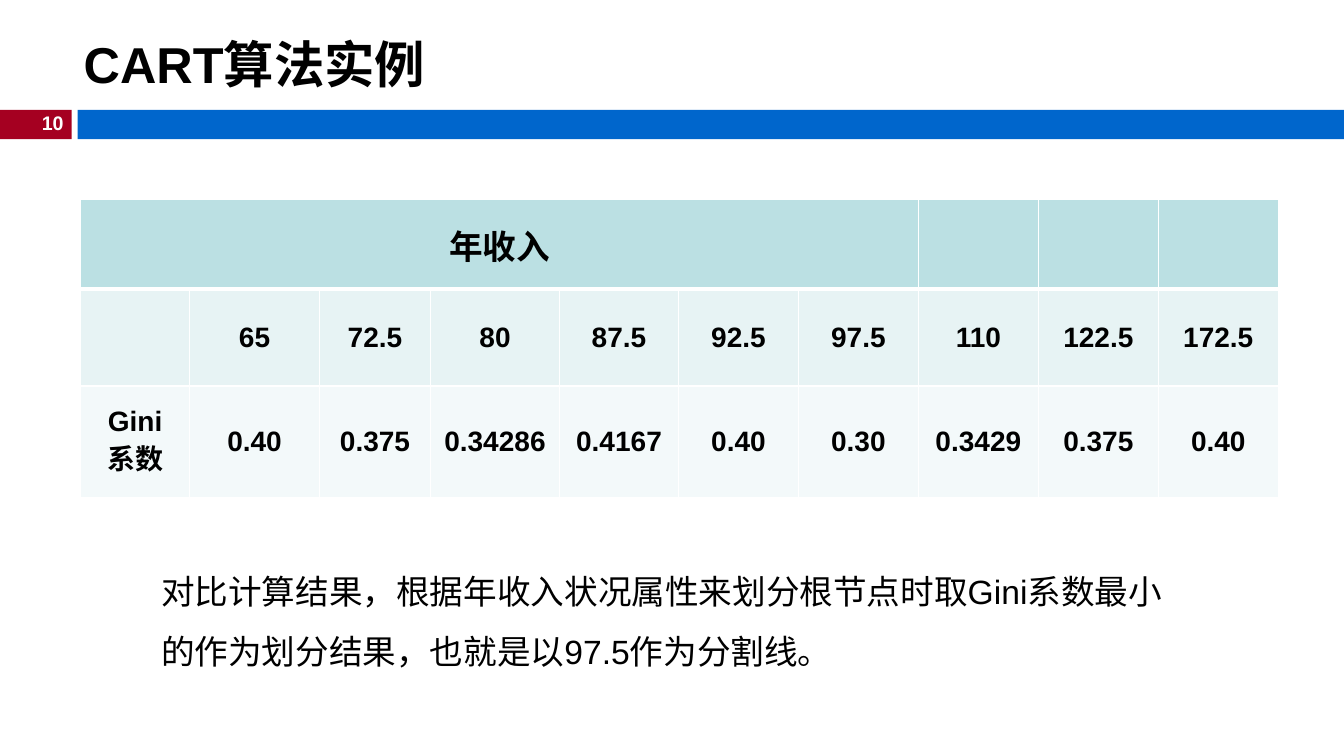
import lxml.etree
import pptx
import pptx.dml.color
import pptx.enum.shapes
import pptx.enum.text
import pptx.oxml.ns
import pptx.util

Inches, Pt = pptx.util.Inches, pptx.util.Pt
ALIGN = pptx.enum.text.PP_ALIGN
MIDDLE = pptx.enum.text.MSO_ANCHOR.MIDDLE

THEME = {
    "font": "Arial",
    "colors": {"text": "000000", "white": "FFFFFF", "red": "A50021", "blue": "0066CC"},
    "rows": ["BBE0E3", "E7F3F4", "F3F9FA"],
    "sizes": {"title": 36, "header": 24, "value": 20, "body": 24, "number": 14},
}
COLORS = THEME["colors"]


def write(frame, text, role, align, bold=True, color="text", spacing=None):
    frame.text = text
    for paragraph in frame.paragraphs:
        paragraph.alignment = align
        paragraph.line_spacing = spacing
        font_format = {"name": THEME["font"], "size": Pt(THEME["sizes"][role]), "bold": bold}
        for key, value in font_format.items():
            setattr(paragraph.font, key, value)
        paragraph.font.color.rgb = pptx.dml.color.RGBColor.from_string(COLORS[color])


def paint(fill, color):
    fill.solid()
    fill.fore_color.rgb = pptx.dml.color.RGBColor.from_string(color)


presentation = pptx.Presentation()
presentation.slide_width, presentation.slide_height = Inches(13.33), Inches(7.5)
slide = presentation.slides.add_slide(presentation.slide_layouts[5])

# Header band
for left, width, color in [(0, 0.71, "red"), (0.77, 12.56, "blue")]:
    band = slide.shapes.add_shape(pptx.enum.shapes.MSO_SHAPE.RECTANGLE,
                                  Inches(left), Inches(1.09), Inches(width), Inches(0.29))
    band.shadow.inherit = False
    paint(band.fill, COLORS[color])
    band.line.fill.background()

# Page number
page_number = slide.shapes.add_textbox(Inches(0.29), Inches(1.05), Inches(0.44), Inches(0.34))
page_number.text_frame.word_wrap = False
write(page_number.text_frame, "10", "number", ALIGN.RIGHT, color="white")

# Title
title = slide.shapes.title
title_place = {"left": 0.73, "top": 0.26, "width": 12.6, "height": 0.74}
for key, value in title_place.items():
    setattr(title, key, Inches(value))
title.text_frame.auto_size = pptx.enum.text.MSO_AUTO_SIZE.NONE
title.text_frame.vertical_anchor = MIDDLE
write(title.text_frame, "CART算法实例", "title", ALIGN.LEFT)

# Gini table
gini_rows = [
    ["年收入"] + [""] * 9,
    ["", "65", "72.5", "80", "87.5", "92.5", "97.5", "110", "122.5", "172.5"],
    ["Gini\n系数", "0.40", "0.375", "0.34286", "0.4167", "0.40", "0.30", "0.3429", "0.375", "0.40"],
]
column_widths = [1.08, 1.29, 1.1, 1.28, 1.18] + [1.19] * 5
row_heights = [0.89, 0.96, 1.11]
gini_table = slide.shapes.add_table(len(row_heights), len(column_widths), Inches(0.8), Inches(1.98),
                                    Inches(11.86), Inches(2.96)).table
for column, width in zip(gini_table.columns, column_widths):
    column.width = Inches(width)
for row, height in zip(gini_table.rows, row_heights):
    row.height = Inches(height)
gini_table.cell(0, 0).merge(gini_table.cell(0, 6))

for r, values in enumerate(gini_rows):
    for c, value in enumerate(values):
        cell = gini_table.cell(r, c)
        cell.vertical_anchor = MIDDLE
        if value:
            write(cell.text_frame, value, "value" if r else "header", ALIGN.CENTER)

        # White cell borders, thicker around the header's lower edge
        thick_edge = {0: "lnB", 1: "lnT"}.get(r)
        properties = cell._tc.get_or_add_tcPr()
        for edge in ("lnL", "lnR", "lnT", "lnB"):
            line = lxml.etree.SubElement(properties, pptx.oxml.ns.qn("a:" + edge),
                                         w=str(Pt(3 if edge == thick_edge else 1)))
            line_fill = lxml.etree.SubElement(line, pptx.oxml.ns.qn("a:solidFill"))
            lxml.etree.SubElement(line_fill, pptx.oxml.ns.qn("a:srgbClr"), val=COLORS["white"])
        paint(cell.fill, THEME["rows"][r])

# Conclusion
conclusion = slide.shapes.add_textbox(Inches(1.5), Inches(5.41), Inches(10.34), Inches(1.31))
conclusion.text_frame.word_wrap = True
write(conclusion.text_frame,
      "对比计算结果，根据年收入状况属性来划分根节点时取Gini系数最小的作为划分结果，也就是以97.5作为分割线。",
      "body", ALIGN.LEFT, bold=False, spacing=1.5)

presentation.save("out.pptx")
